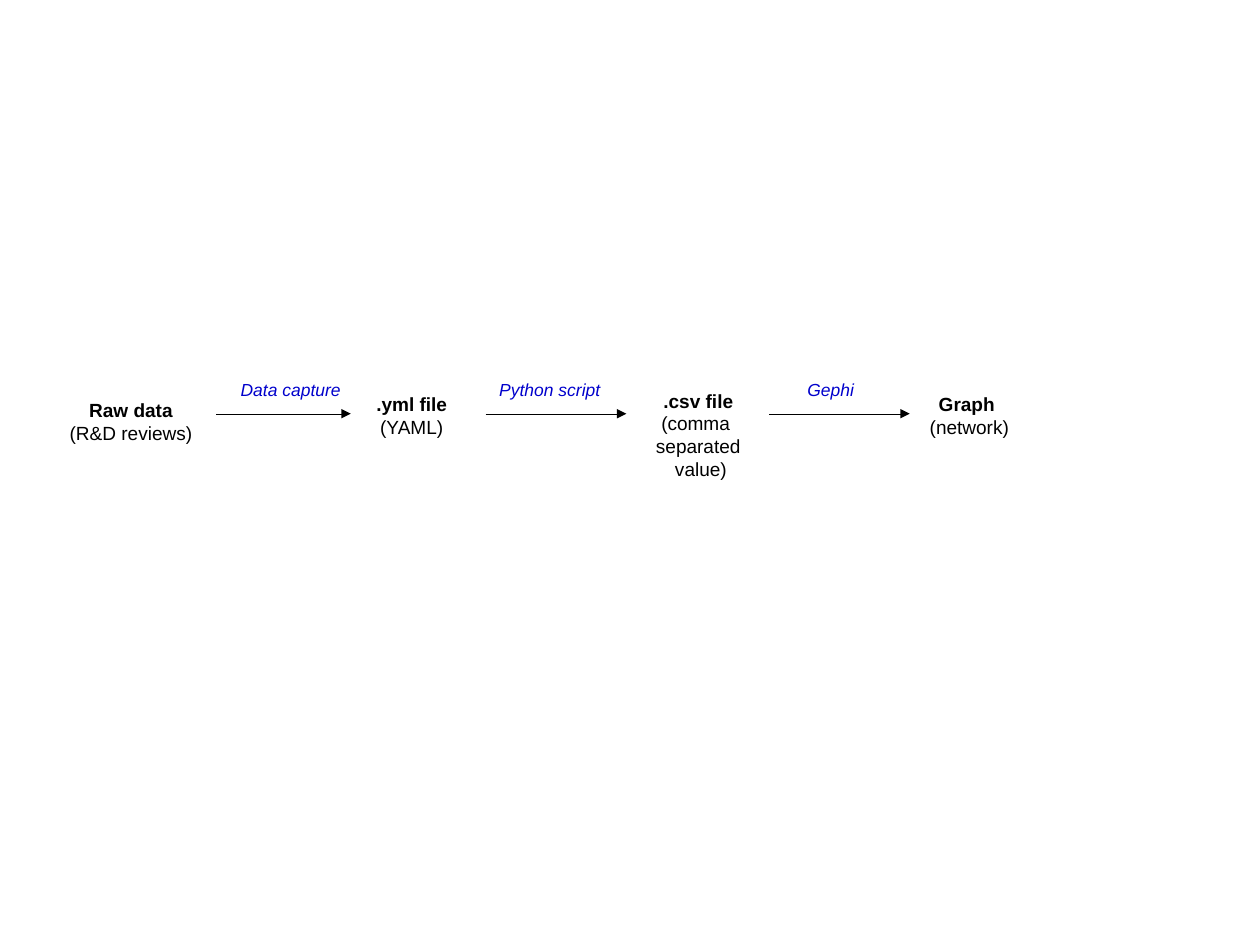
import pptx
import pptx.util
import pptx.dml.color
import pptx.enum.shapes
import pptx.enum.text
import pptx.oxml.ns
from lxml import etree

Pt = pptx.util.Pt
SLIDE_SIZE = (793.75, 595.25)
FONT = "Arial"
BLACK = "000000"
BLUE = "0000CC"
ARROW_Y = 260.6

STAGES = [
    ((36.2, 247.5, 92.6, 33.8), ["Raw data", "(R&D reviews)"]),
    ((229.9, 243.7, 59, 33.8), [".yml file", "(YAML)"]),
    ((406.1, 241.5, 67.7, 61.2), [".csv file", "(comma ", "separated", " value)"]),
    ((575.2, 243.7, 67.7, 33.8), ["Graph", " (network)"]),
]
STEPS = [
    ("Data capture", (133.9, 235, 98.6, 31.7), (136.1, 221)),
    ("Python script", (306.4, 235.4, 80, 19.4), (306, 394.6)),
    ("Gephi", (500.8, 235.4, 45, 31.7), (484.6, 573.1)),
]


def color(value):
    return pptx.dml.color.RGBColor.from_string(value)


def add_text(page, place, lines, size, ink, bold=False, italic=False, wrap=False):
    box = page.shapes.add_textbox(*map(Pt, place))
    frame = box.text_frame
    frame.word_wrap = wrap
    frame.auto_size = pptx.enum.text.MSO_AUTO_SIZE.SHAPE_TO_FIT_TEXT
    for index, line in enumerate(lines):
        para = frame.add_paragraph() if index else frame.paragraphs[0]
        para.alignment = pptx.enum.text.PP_ALIGN.CENTER
        span = para.add_run()
        span.text = line
        span.font.name = FONT
        span.font.size = Pt(size)
        span.font.bold = bold and index == 0
        span.font.italic = italic
        span.font.color.rgb = color(ink)


def add_arrow(page, start, end):
    arrow = page.shapes.add_connector(
        pptx.enum.shapes.MSO_CONNECTOR.STRAIGHT,
        Pt(start), Pt(ARROW_Y), Pt(end), Pt(ARROW_Y),
    )
    arrow.line.color.rgb = color(BLACK)
    properties = arrow._element.spPr
    outline = properties.find(pptx.oxml.ns.qn("a:ln"))
    outline.set("w", "0")
    etree.SubElement(outline, pptx.oxml.ns.qn("a:tailEnd"), type="triangle")
    etree.SubElement(properties, pptx.oxml.ns.qn("a:effectLst"))


def main():
    deck = pptx.Presentation()
    deck.slide_width, deck.slide_height = map(Pt, SLIDE_SIZE)
    page = deck.slides.add_slide(deck.slide_layouts[6])
    for place, lines in STAGES:
        add_text(page, place, lines, 12, BLACK, bold=True)
    for label, place, (start, end) in STEPS:
        add_text(page, place, [label], 11, BLUE, italic=True, wrap=True)
        add_arrow(page, start, end)
    deck.save("out.pptx")


if __name__ == "__main__":
    main()
